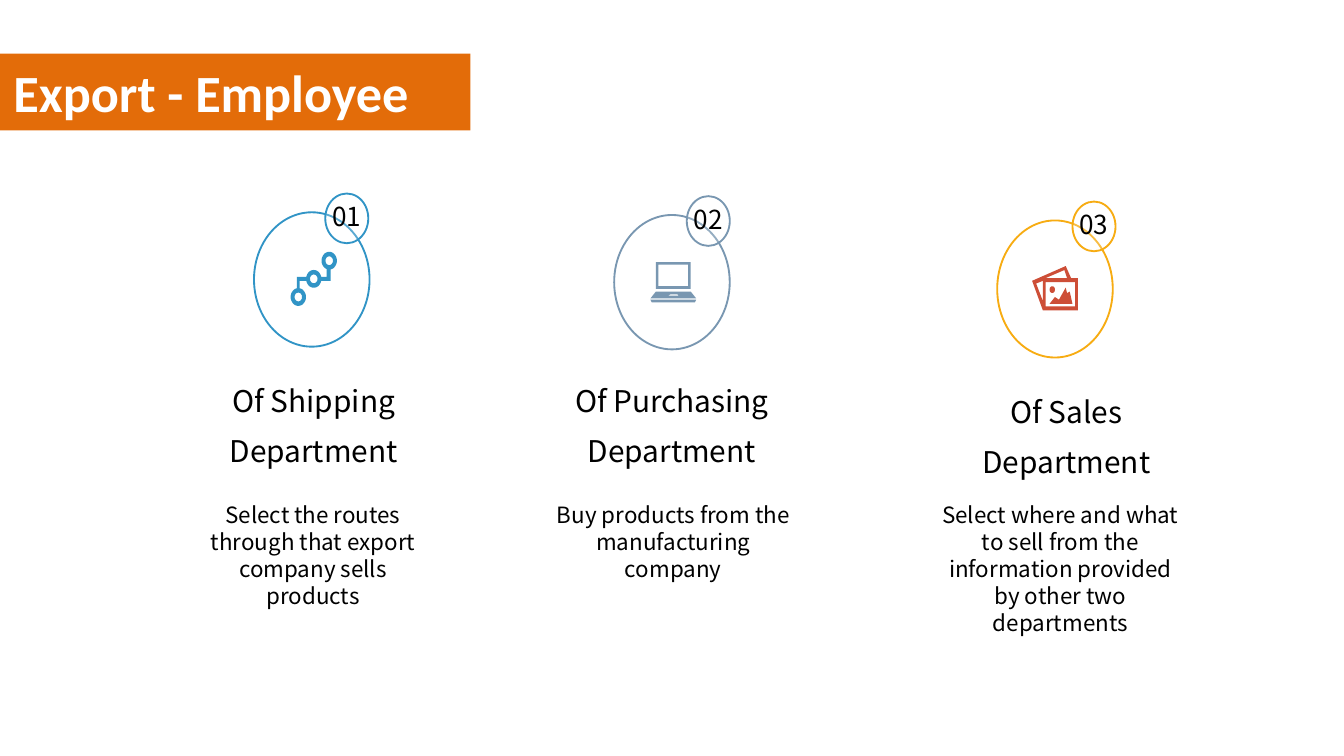
"""Build the slide on the three export departments and their employees."""
import math

from lxml import etree
from pptx import Presentation, util as u
from pptx.dml.color import RGBColor
from pptx.enum import shapes, text
from pptx.oxml.ns import qn

CJK = "Noto Sans CJK SC"


def paint(shape, fill=None, line=None, opacity=None):
    shape.shadow.inherit = False
    if fill:
        shape.fill.solid()
        shape.fill.fore_color.rgb = RGBColor.from_string(fill)
    else:
        shape.fill.background()
    if opacity:
        colour = next(shape.element.iter(qn("a:srgbClr")))
        etree.SubElement(colour, qn("a:alpha"), val=str(opacity * 1000))
    if line:
        shape.line.color.rgb = RGBColor.from_string(line)
        shape.line.width = u.Pt(1)
    else:
        shape.line.fill.background()


def write(shape, lines, size, font=CJK, colour="000000", bold=False,
          align=text.PP_ALIGN.CENTER, spacing=1.0, inset=0.05, side=None):
    frame = shape.text_frame
    frame.word_wrap = True
    frame.auto_size = text.MSO_AUTO_SIZE.NONE
    frame.vertical_anchor = text.MSO_ANCHOR.TOP
    frame.margin_top = frame.margin_bottom = u.Inches(inset)
    frame.margin_left = frame.margin_right = u.Inches(side or inset)
    for number, line in enumerate(lines):
        paragraph = frame.add_paragraph() if number else frame.paragraphs[0]
        paragraph.alignment = align
        paragraph.line_spacing = spacing
        run = paragraph.add_run()
        run.text = line
        run.font.name, run.font.size, run.font.bold = font, u.Pt(size), bold
        run.font.color.rgb = RGBColor.from_string(colour)


deck = Presentation()
deck.slide_width = u.Inches(10)
deck.slide_height = deck.slide_width * 9 // 16
cell = deck.slide_width // 1000
slide = deck.slides.add_slide(deck.slide_layouts[5])
canvas = slide.shapes

heading = canvas.title
heading.left, heading.top = 0, cell * 40
heading.width, heading.height = cell * 358, cell * 57
write(heading, ["Export - Employee"], 28, font="Calibri", colour="FFFFFF",
      bold=True, align=text.PP_ALIGN.LEFT, side=0.1)
banner = canvas.add_shape(shapes.MSO_SHAPE.RECTANGLE, 0, cell * 40, cell * 350, cell * 57)
paint(banner, fill="E36C09")
heading.element.addprevious(banner.element)

turn = [(math.cos(math.pi * step / 16), math.sin(math.pi * step / 16)) for step in range(32)]
stops = [(x + rx * c, y + ry * s) for x, y in [(222, 221), (233.5, 207.5), (245, 194)]
         for rx, ry in [(5.7, 6.6), (2.8, 3.3)] for c, s in turn]
route = [[stops[start:start + 32] for start in range(0, len(stops), 32)] + [
    [(221, 214.5), (221, 206), (228, 206), (228, 209), (223, 209), (223, 214.5)],
    [(239, 206), (243, 206), (243, 200.5), (246, 200.5), (246, 209), (239, 209)]]]
laptop = [
    [[(488, 195), (514, 195), (514, 215), (488, 215)],
     [(490, 197), (512, 197), (512, 213), (490, 213)]],
    [[(488, 217), (514, 217), (518, 222), (484, 222)],
     [(497, 220), (499, 219), (504, 219), (505, 220)]],
    [[(484, 223), (518, 223), (517, 225), (485, 225)]],
]
photos = [
    [[(797, 207), (793, 198), (768, 209), (776, 231), (802, 231), (802, 207)],
     [(794, 207), (778, 207), (792, 201)],
     [(771, 211), (776, 209), (776, 224)],
     [(778, 228), (778, 210), (800, 210), (800, 228)]],
    [[(796, 217), (794, 218), (793, 214), (788, 223), (785, 221), (781, 226), (798, 226)]],
    [[(783 + 2 * c, 215.5 + 2.5 * s) for c, s in turn]],
]

departments = [
    ("Shipping", "Select the routes through that export company sells products",
     "3194C6", "3194C6", route, (232, 208, 100), (242, 144), (233.5, 269, 157), (233, 176, 81)),
    ("Purchasing", "Buy products from the manufacturing company",
     "7997B1", "7997B1", laptop, (500, 210, 100), (511, 146), (500, 269, 180), (501, 180, 61)),
    ("Sales", "Select where and what to sell from the information provided by other two departments",
     "F7AC12", "CD4E37", photos, (785, 215, 102), (798, 150), (793.5, 277, 157), (789, 180, 101)),
]

for order, (name, duty, ring, ink, icon, circle, corner, label, note) in enumerate(departments, 1):
    for contours in icon:
        outlines = [[(round(x * 10), round(y * 10)) for x, y in contour] for contour in contours]
        pen = canvas.build_freeform(*outlines[0][0], scale=cell / 10)
        pen.add_line_segments(outlines[0][1:], close=True)
        for outline in outlines[1:]:
            pen.move_to(*outline[0])
            pen.add_line_segments(outline[1:], close=True)
        paint(pen.convert_to_shape(), fill=ink)

    x, y, tall = circle
    emblem = canvas.add_shape(shapes.MSO_SHAPE.OVAL, cell * (x - 43), cell * (y - tall // 2),
                              cell * 86, cell * tall)
    paint(emblem, line=ring)

    middle, top, wide = label
    title = canvas.add_textbox(int(cell * (middle - wide / 2)), cell * top, cell * wide, cell * 81)
    write(title, [f"Of {name}", "Department"], 16, spacing=1.4)

    middle, wide, tall = note
    task = canvas.add_textbox(cell * (middle - wide // 2), cell * 373, cell * wide, cell * tall)
    write(task, [duty], 12, inset=0)

    left, top = corner
    badge = canvas.add_shape(shapes.MSO_SHAPE.OVAL, cell * left, cell * top, cell * 32, cell * 37)
    paint(badge, fill="FFFFFF", line=ring, opacity=21)
    numeral = canvas.add_textbox(cell * (left - 1), cell * (top - 9), cell * 34, cell * 50)
    write(numeral, [f"{order:02}"], 14, spacing=1.4)

deck.save("out.pptx")
